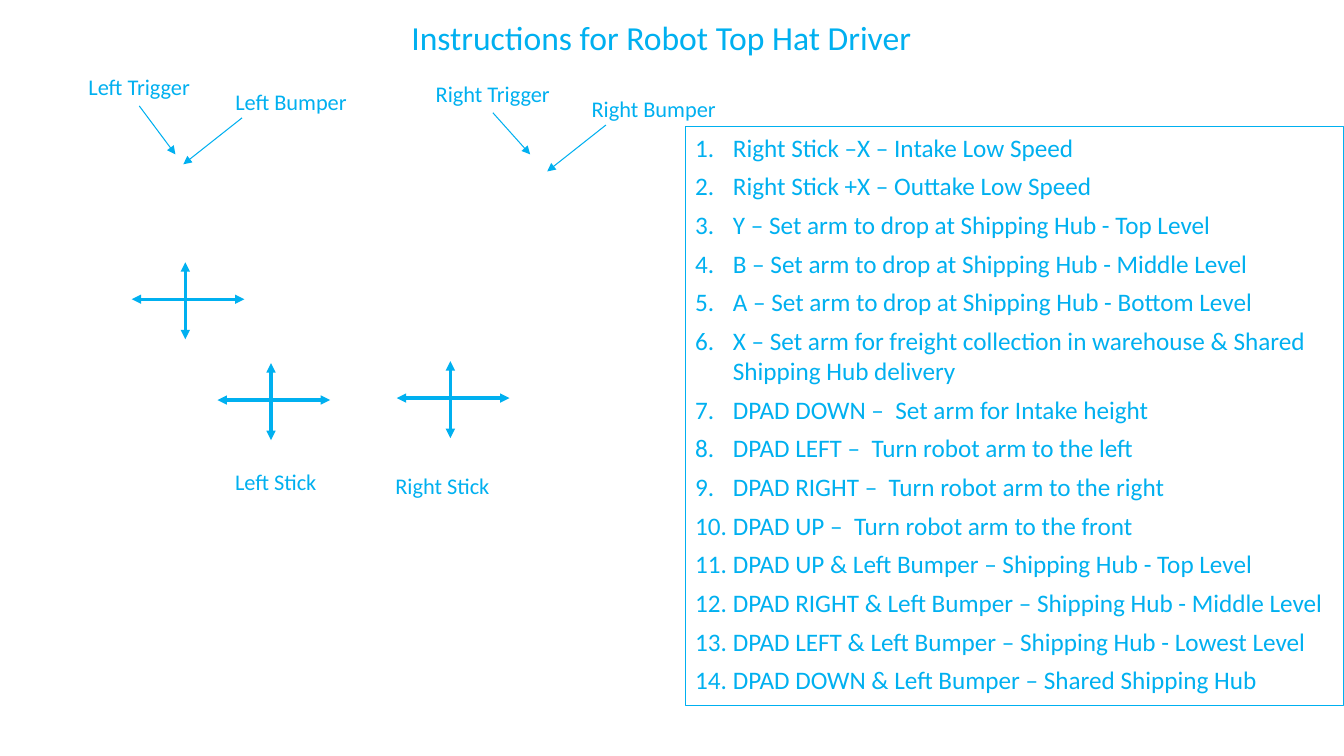
from lxml.etree import SubElement
from pptx import Presentation
from pptx.dml.color import RGBColor
from pptx.enum.shapes import MSO_CONNECTOR as CONN, MSO_SHAPE as SHAPE
from pptx.enum.text import MSO_ANCHOR as ANCHOR, PP_ALIGN as ALIGN
from pptx.oxml.ns import qn
from pptx.util import Cm, Pt

BLUE = "00B0F0"
LABEL_H = 0.97

# text, left, top, width
LABELS = [
    ("Left Trigger", 1.3, 1.7, 4.42),
    ("Left Bumper", 4.45, 2.08, 5.77),
    ("Right Trigger", 9.98, 1.88, 4.88),
    ("Right Bumper", 13.59, 2.24, 5.77),
    ("Left Stick", 4.93, 11.66, 4.04),
    ("Right Stick", 8.94, 11.76, 4.42),
]
# start x, start y, end x, end y
POINTERS = [
    (3.51, 2.67, 4.42, 3.89),
    (6.1, 2.97, 4.62, 4.14),
    (12.42, 2.84, 13.36, 3.89),
    (15.27, 3.15, 13.79, 4.32),
]
# centres of the direction pad, left stick and right stick
CROSSES = [(4.67, 7.54), (6.83, 10.08), (11.35, 10.03)]
INSTRUCTIONS = [
    "Right Stick –X – Intake Low Speed",
    "Right Stick +X – Outtake Low Speed",
    "Y – Set arm to drop at Shipping Hub - Top Level",
    "B – Set arm to drop at Shipping Hub - Middle Level",
    "A – Set arm to drop at Shipping Hub - Bottom Level",
    "X – Set arm for freight collection in warehouse & Shared Shipping Hub delivery",
    "DPAD DOWN –  Set arm for Intake height",
    "DPAD LEFT –  Turn robot arm to the left",
    "DPAD RIGHT –  Turn robot arm to the right",
    "DPAD UP –  Turn robot arm to the front",
    "DPAD UP & Left Bumper – Shipping Hub - Top Level",
    "DPAD RIGHT & Left Bumper – Shipping Hub - Middle Level",
    "DPAD LEFT & Left Bumper – Shipping Hub - Lowest Level",
    "DPAD DOWN & Left Bumper – Shared Shipping Hub",
]


def rgb(color):
    return RGBColor.from_string(color)


def write(p, text, size=16, color=BLUE, align=ALIGN.CENTER, before=0):
    p.alignment = align
    p.space_before = Pt(before)
    r = p.add_run()
    r.text = text
    r.font.name = "Calibri"
    r.font.size = Pt(size)
    r.font.color.rgb = rgb(color)


def number(p, indent=0.95):
    """Turn a paragraph into an automatically numbered item."""
    pPr = p._p.get_or_add_pPr()
    pPr.set("marL", str(Cm(indent)))
    pPr.set("indent", str(-Cm(indent)))
    SubElement(pPr, qn("a:buFont"), typeface="+mj-lt")
    SubElement(pPr, qn("a:buAutoNum"), type="arabicPeriod")


def add_title(s, text):
    sp = s.shapes.title
    sp.left, sp.top, sp.width, sp.height = Cm(7.24), Cm(0.46), Cm(18.85), Cm(LABEL_H)
    sp.text_frame.vertical_anchor = ANCHOR.MIDDLE
    write(sp.text_frame.paragraphs[0], text, size=24)


def add_label(s, text, x, y, w):
    sp = s.shapes.add_textbox(Cm(x), Cm(y), Cm(w), Cm(LABEL_H))
    tf = sp.text_frame
    tf.word_wrap = True
    tf.vertical_anchor = ANCHOR.MIDDLE
    write(tf.paragraphs[0], text)


def add_arrow(s, x1, y1, x2, y2, width=0.75, ends=("tailEnd",)):
    line = s.shapes.add_connector(CONN.STRAIGHT, Cm(x1), Cm(y1), Cm(x2), Cm(y2))
    line.line.color.rgb = rgb(BLUE)
    line.line.width = Pt(width)
    ln = line.line._get_or_add_ln()
    for end in ends:
        SubElement(ln, qn(f"a:{end}"), type="triangle")
    SubElement(line._element.spPr, qn("a:effectLst"))


def add_cross(s, x, y):
    style = {"width": 2.25, "ends": ("headEnd", "tailEnd")}
    add_arrow(s, x - 1.35, y, x + 1.49, y, **style)
    add_arrow(s, x, y - 0.93, x, y + 1.01, **style)


def add_instructions(s, items):
    sp = s.shapes.add_shape(SHAPE.RECTANGLE, Cm(17.27), Cm(3.2), Cm(16.6), Cm(14.58))
    sp.shadow.inherit = False
    sp.fill.background()
    sp.line.color.rgb = rgb(BLUE)
    sp.line.width = Pt(0.75)
    tf = sp.text_frame
    tf.word_wrap = True
    tf.vertical_anchor = ANCHOR.TOP
    for i, item in enumerate(items):
        p = tf.add_paragraph() if i else tf.paragraphs[0]
        write(p, item, size=18, align=ALIGN.LEFT, before=6 if i else 0)
        number(p)


def main():
    prs = Presentation()
    prs.slide_width, prs.slide_height = Cm(33.87), Cm(19.05)
    s = prs.slides.add_slide(prs.slide_layouts[5])
    add_title(s, "Instructions for Robot Top Hat Driver")
    for center in CROSSES:
        add_cross(s, *center)
    for label in LABELS:
        add_label(s, *label)
    for pointer in POINTERS:
        add_arrow(s, *pointer)
    add_instructions(s, INSTRUCTIONS)
    prs.save("out.pptx")


if __name__ == "__main__":
    main()
